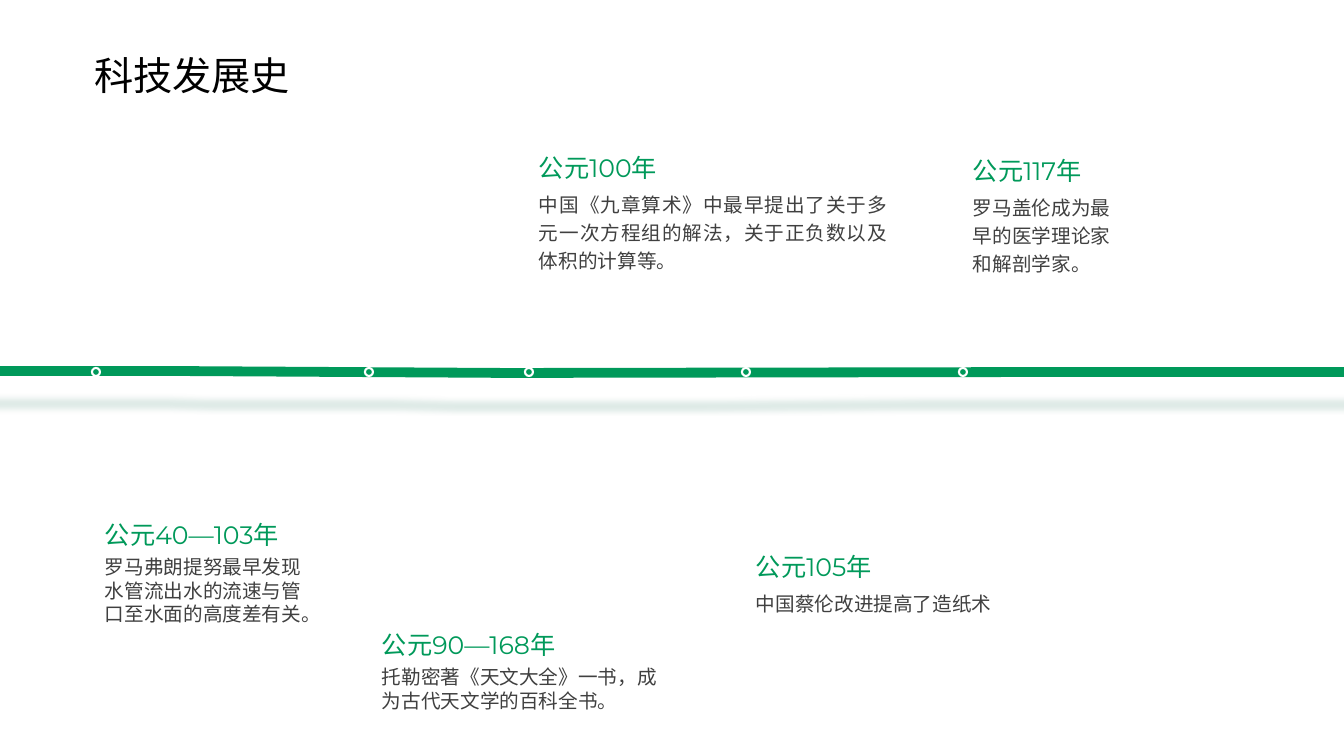
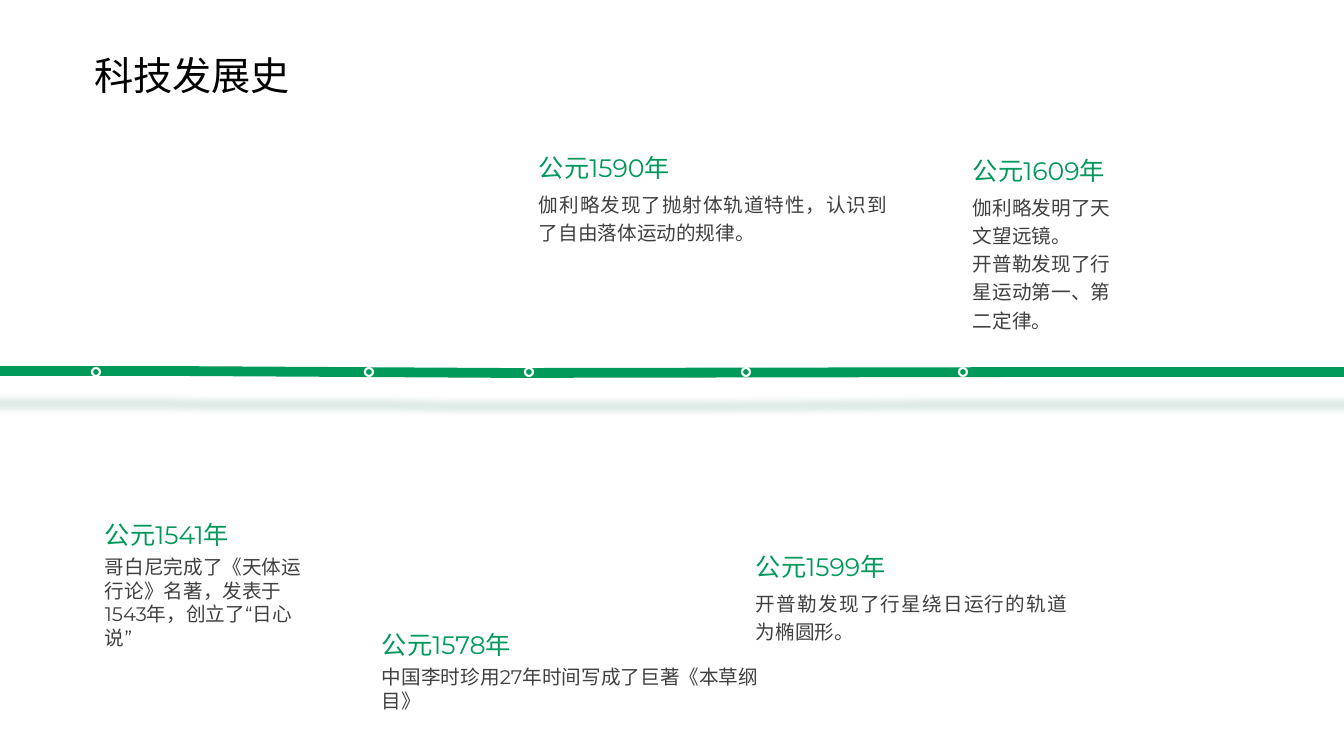
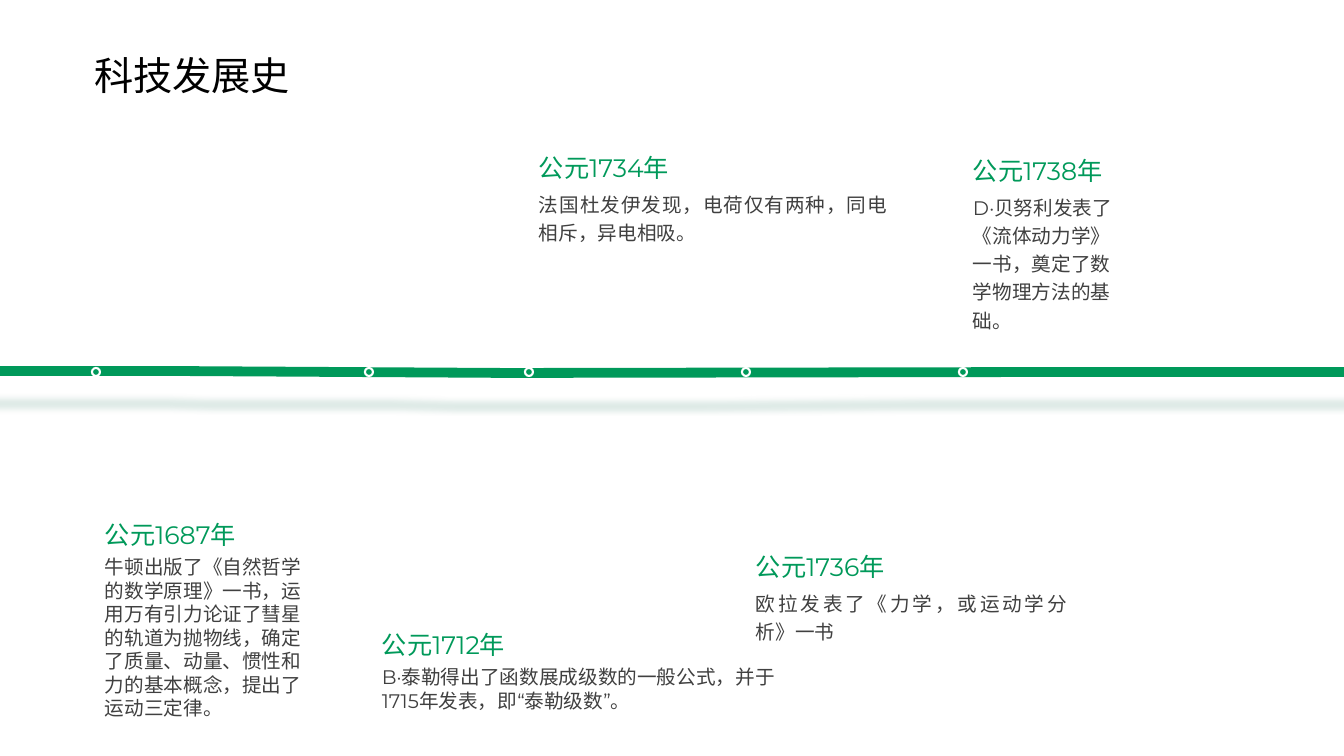
"""Build three slides of a timeline of the history of science and technology."""
from math import ceil

from lxml import etree
from pptx import Presentation
from pptx.dml.color import RGBColor
from pptx.enum.lang import MSO_LANGUAGE_ID as Lang
from pptx.enum.shapes import MSO_SHAPE as Shape
from pptx.enum.text import MSO_ANCHOR as Anchor, MSO_AUTO_SIZE as Fit, PP_ALIGN as Align
from pptx.oxml.ns import qn
from pptx.util import Pt

TITLE = "科技发展史"
ERAS = [
    [
        ("公元40—103年", ["罗马弗朗提努最早发现水管流出水的流速与管口至水面的高度差有关。"]),
        ("公元90—168年", ["托勒密著《天文大全》一书，成为古代天文学的百科全书。"]),
        ("公元100年", ["中国《九章算术》中最早提出了关于多元一次方程组的解法，关于正负数以及体积的计算等。"]),
        ("公元105年", ["中国蔡伦改进提高了造纸术"]),
        ("公元117年", ["罗马盖伦成为最早的医学理论家和解剖学家。"]),
    ],
    [
        ("公元1541年", ["哥白尼完成了《天体运行论》名著，发表于1543年，创立了“日心说”"]),
        ("公元1578年", ["中国李时珍用27年时间写成了巨著《本草纲目》"]),
        ("公元1590年", ["伽利略发现了抛射体轨道特性，认识到了自由落体运动的规律。"]),
        ("公元1599年", ["开普勒发现了行星绕日运行的轨道为椭圆形。"]),
        ("公元1609年", ["伽利略发明了天文望远镜。", "开普勒发现了行星运动第一、第二定律。"]),
    ],
    [
        ("公元1687年", ["牛顿出版了《自然哲学的数学原理》一书，运用万有引力论证了彗星的轨道为抛物线，"
                     "确定了质量、动量、惯性和力的基本概念，提出了运动三定律。"]),
        ("公元1712年", ["B·泰勒得出了函数展成级数的一般公式，并于1715年发表，即“泰勒级数”。"]),
        ("公元1734年", ["法国杜发伊发现，电荷仅有两种，同电相斥，异电相吸。"]),
        ("公元1736年", ["欧拉发表了《力学，或运动学分析》一书"]),
        ("公元1738年", ["D·贝努利发表了《流体动力学》一书，奠定了数学物理方法的基础。"]),
    ],
]

COLORS = {"green": "00995A", "shadow": "016145", "body": "404040",
          "title": "000000", "white": "FFFFFF"}
LATIN, HAN = "Montserrat", "Noto Sans CJK SC"
PX = 914400 / 100.8
SLIDE_SIZE = (1344, 756)
TITLE_BOX = (84, 46, 648, 58)
AXIS = [(-197, 371), (169, 371), (340, 372), (510, 373), (1076, 372), (1540, 372)]
DOT_Y, DOT_SIZE = 372, 8
YEAR_SIZE = (230, 40)
BODY_GAP, INSET = 36, 10
LINE_HEIGHT, CHAR_WIDTH = 23.5, 19.6
SLOTS = [
    {"dot": 96, "left": 95, "top": 514, "widths": (218, 218, 218), "spacing": None, "align": None},
    {"dot": 369, "left": 372, "top": 624, "widths": (309, 415, 415), "spacing": None, "align": None},
    {"dot": 529, "left": 529, "top": 147, "widths": (368, 368, 368), "spacing": 1.2, "align": Align.JUSTIFY},
    {"dot": 746, "left": 746, "top": 546, "widths": (331, 331, 331), "spacing": 1.2, "align": Align.JUSTIFY},
    {"dot": 963, "left": 963, "top": 150, "widths": (164, 164, 164), "spacing": 1.2, "align": None},
]


def px(*lengths):
    return [round(length * PX) for length in lengths]


def color(name):
    return RGBColor.from_string(COLORS[name])


def write(paragraph, words, size, tint, face):
    run = paragraph.add_run()
    run.text = words
    font = run.font
    font.size, font.name, font.language_id = Pt(size), face, Lang.SIMPLIFIED_CHINESE
    font.color.rgb = color(tint)
    etree.SubElement(font._element, qn("a:ea"), typeface=face)


def add_words(slide, box, paragraphs, size, tint, spacing=None, align=None):
    frame = slide.shapes.add_textbox(*px(*box)).text_frame
    frame.word_wrap, frame.auto_size = True, Fit.SHAPE_TO_FIT_TEXT
    for index, words in enumerate(paragraphs):
        paragraph = frame.add_paragraph() if index else frame.paragraphs[0]
        paragraph.line_spacing, paragraph.alignment = spacing, align
        write(paragraph, words, size, tint, LATIN)


def add_title(slide):
    title = slide.shapes.title
    title.left, title.top, title.width, title.height = px(*TITLE_BOX)
    frame = title.text_frame
    frame.word_wrap, frame.auto_size = True, Fit.NONE
    frame.vertical_anchor = Anchor.MIDDLE
    frame.paragraphs[0].alignment = Align.LEFT
    write(frame.paragraphs[0], TITLE, 28, "title", HAN)


def add_axis(slide):
    builder = slide.shapes.build_freeform(*AXIS[0], scale=PX)
    builder.add_line_segments(AXIS[1:], close=False)
    axis = builder.convert_to_shape()
    axis.fill.background()
    axis.line.color.rgb, axis.line.width = color("green"), Pt(7)
    axis.shadow.inherit = False
    effects = axis._element.spPr.find(qn("a:effectLst"))
    shadow = etree.SubElement(effects, qn("a:outerShdw"), blurRad=str(Pt(4)), dist=str(Pt(23)),
                              dir="5400000", algn="t", rotWithShape="0")
    tint = etree.SubElement(shadow, qn("a:srgbClr"), val=COLORS["shadow"])
    etree.SubElement(tint, qn("a:alpha"), val="12000")


def add_dot(slide, center):
    half = DOT_SIZE / 2
    dot = slide.shapes.add_shape(Shape.OVAL, *px(center - half, DOT_Y - half, DOT_SIZE, DOT_SIZE))
    dot.shadow.inherit = False
    dot.fill.solid()
    dot.fill.fore_color.rgb = color("green")
    dot.line.color.rgb, dot.line.width = color("white"), Pt(1.5)


def add_event(slide, slot, width, year, story):
    left, top, spacing = slot["left"], slot["top"], slot["spacing"]
    per_line = int((width - 2 * INSET) / CHAR_WIDTH)
    lines = sum(ceil(len(words) / per_line) for words in story)
    height = lines * LINE_HEIGHT * (spacing or 1) + INSET
    add_words(slide, (left, top + BODY_GAP, width, height), story, 14, "body", spacing, slot["align"])
    add_words(slide, (left, top, *YEAR_SIZE), [year], 18, "green")
    add_dot(slide, slot["dot"])


def main():
    deck = Presentation()
    deck.slide_width, deck.slide_height = px(*SLIDE_SIZE)
    for era, events in enumerate(ERAS):
        slide = deck.slides.add_slide(deck.slide_layouts[5])
        add_axis(slide)
        for slot, (year, story) in zip(SLOTS, events):
            add_event(slide, slot, slot["widths"][era], year, story)
        add_title(slide)
    deck.save("out.pptx")


if __name__ == "__main__":
    main()
